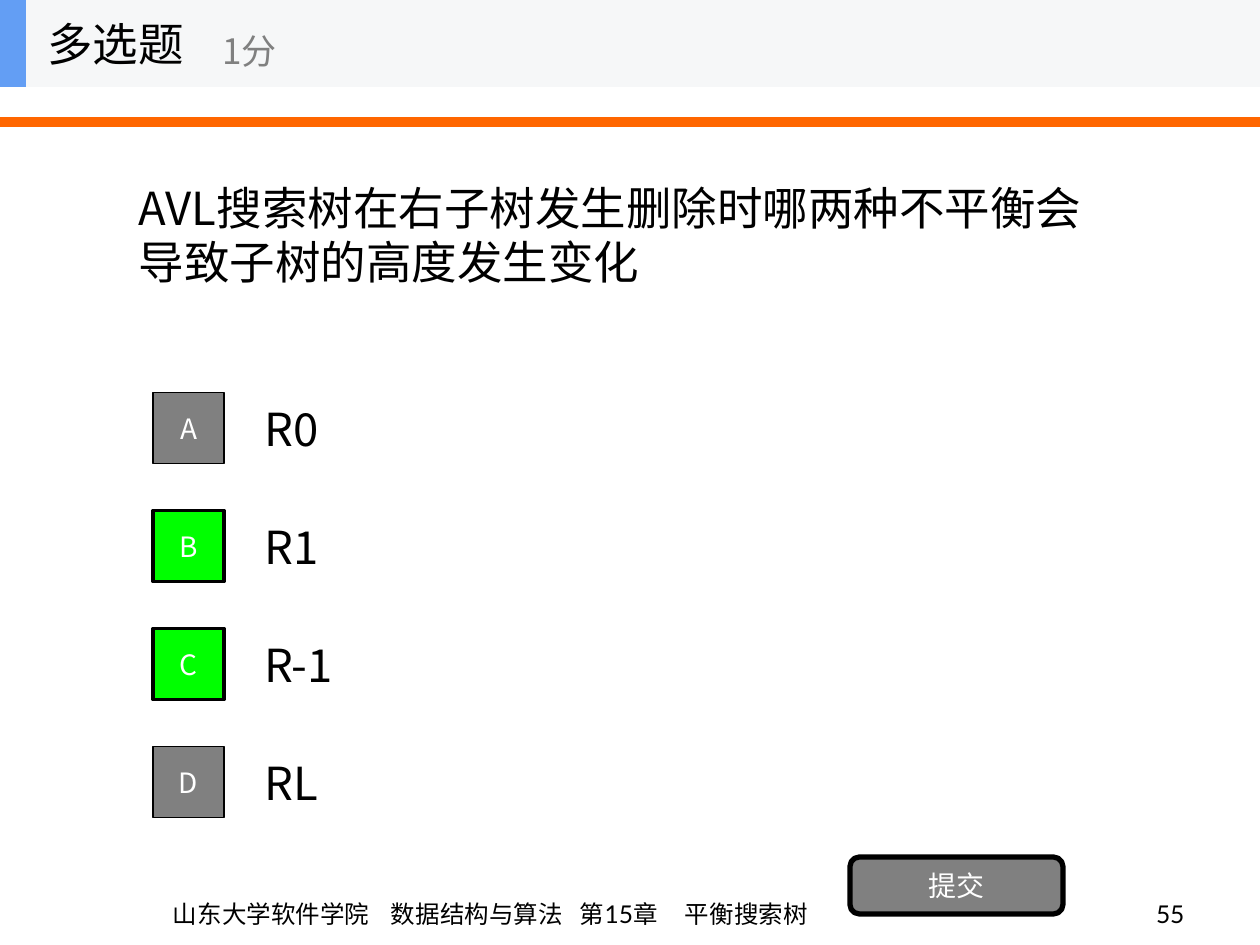
import pptx
import pptx.util
from lxml import etree
from pptx.dml.color import RGBColor
from pptx.enum.shapes import MSO_CONNECTOR, MSO_SHAPE
from pptx.enum.text import MSO_ANCHOR, MSO_AUTO_SIZE, PP_ALIGN
from pptx.oxml.ns import qn

COLORS = {
    "black": "000000", "white": "FFFFFF", "gray": "808080", "green": "00FF00",
    "orange": "FF6600", "blue": "639EF4", "header": "F6F7F8",
}
CJK_FONT = "Noto Sans CJK SC"
FOOTER_FONT = "Lato"

QUESTION = "AVL搜索树在右子树发生删除时哪两种不平衡会导致子树的高度发生变化"
OPTIONS = [("A", "R0", False), ("B", "R1", True), ("C", "R-1", True), ("D", "RL", False)]
HEADER_LABELS = [("多选题", (35, 0, 262, 87), 26, "black"), ("1分", (210, 15, 315, 71), 20, "gray")]
FOOTER_PARTS = ["山东大学软件学院", "数据结构与算法", "第15章", "平衡搜索树"]
FOOTER_TABS = [218, 407, 512]
PAGE_NUMBER = "55"

PX = 914400 / 126
OPTION_TOP, OPTION_PITCH, OPTION_HEIGHT, MARK_SIZE = 384, 118, 88, 71


def px(value):
    return pptx.util.Emu(round(value * PX))


def color(name):
    return RGBColor.from_string(COLORS[name])


def place(shape, box):
    shape.left, shape.top, shape.width, shape.height = map(px, box)


def write(shape, text, size, color_name, font=CJK_FONT, align=PP_ALIGN.LEFT,
          anchor=MSO_ANCHOR.MIDDLE, wrap=True):
    frame = shape.text_frame
    frame.text = text
    frame.word_wrap = wrap
    frame.auto_size = MSO_AUTO_SIZE.NONE
    frame.vertical_anchor = anchor
    paragraph = frame.paragraphs[0]
    paragraph.alignment = align
    for run in paragraph.runs:
        run.font.size = pptx.util.Pt(size)
        run.font.name = font
        run.font.color.rgb = color(color_name)
        east_asian = etree.SubElement(run.font._element, qn("a:ea"))
        east_asian.set("typeface", CJK_FONT)


def add_text(slide, box, *args, **options):
    shape = slide.shapes.add_textbox(*map(px, box))
    write(shape, *args, **options)
    return shape


def add_block(slide, kind, box, fill, line_width=0):
    shape = slide.shapes.add_shape(kind, *map(px, box))
    shape.shadow.inherit = False
    shape.fill.solid()
    shape.fill.fore_color.rgb = color(fill)
    if line_width:
        shape.line.color.rgb = color("black")
        shape.line.width = pptx.util.Pt(line_width)
    else:
        shape.line.fill.background()
    return shape


def add_rule(slide):
    rule = slide.shapes.add_connector(MSO_CONNECTOR.STRAIGHT, 0, px(122), px(1260), px(122))
    rule.line.color.rgb = color("orange")
    rule.line.width = pptx.util.Pt(6)
    etree.SubElement(rule._element.spPr, qn("a:effectLst"))


def add_footer(slide):
    footer = add_text(slide, (64, 872, 863, 63), "\t".join(FOOTER_PARTS), 14, "black",
                      font=FOOTER_FONT, anchor=MSO_ANCHOR.BOTTOM)
    footer.text_frame.margin_left = px(109)
    properties = footer.text_frame.paragraphs[0]._p.get_or_add_pPr()
    tabs = etree.SubElement(properties, qn("a:tabLst"))
    for position in FOOTER_TABS:
        etree.SubElement(tabs, qn("a:tab"), pos=str(px(position)), algn="l")
    add_text(slide, (935, 872, 262, 63), PAGE_NUMBER, 14, "black", font=FOOTER_FONT,
             align=PP_ALIGN.RIGHT, anchor=MSO_ANCHOR.BOTTOM)


def add_options(slide):
    for index, (letter, answer, correct) in enumerate(OPTIONS):
        top = OPTION_TOP + index * OPTION_PITCH
        add_text(slide, (252, top, 882, OPTION_HEIGHT), answer, 26, "black")
        mark_top = top + (OPTION_HEIGHT - MARK_SIZE) / 2
        mark = add_block(slide, MSO_SHAPE.RECTANGLE, (153, mark_top, MARK_SIZE, MARK_SIZE),
                         "green" if correct else "gray", 2 if correct else 1)
        write(mark, letter, 16, "white", align=PP_ALIGN.CENTER, wrap=False)


def add_header(slide):
    add_block(slide, MSO_SHAPE.RECTANGLE, (0, 0, 1260, 87), "header")
    add_block(slide, MSO_SHAPE.RECTANGLE, (0, 0, 26, 87), "blue")
    for text, box, size, color_name in HEADER_LABELS:
        add_text(slide, box, text, size, color_name, wrap=False)


def main():
    presentation = pptx.Presentation()
    presentation.slide_width, presentation.slide_height = px(1260), px(945)
    slide = presentation.slides.add_slide(presentation.slide_layouts[5])
    add_rule(slide)
    add_footer(slide)
    title = slide.shapes.title
    place(title, (126, 87, 1008, 295))
    write(title, QUESTION, 26, "black")
    add_options(slide)
    submit = add_block(slide, MSO_SHAPE.ROUNDED_RECTANGLE, (850, 857, 213, 57), "gray", 3)
    write(submit, "提交", 16, "white", align=PP_ALIGN.CENTER, wrap=False)
    add_header(slide)
    presentation.save("out.pptx")


if __name__ == "__main__":
    main()
